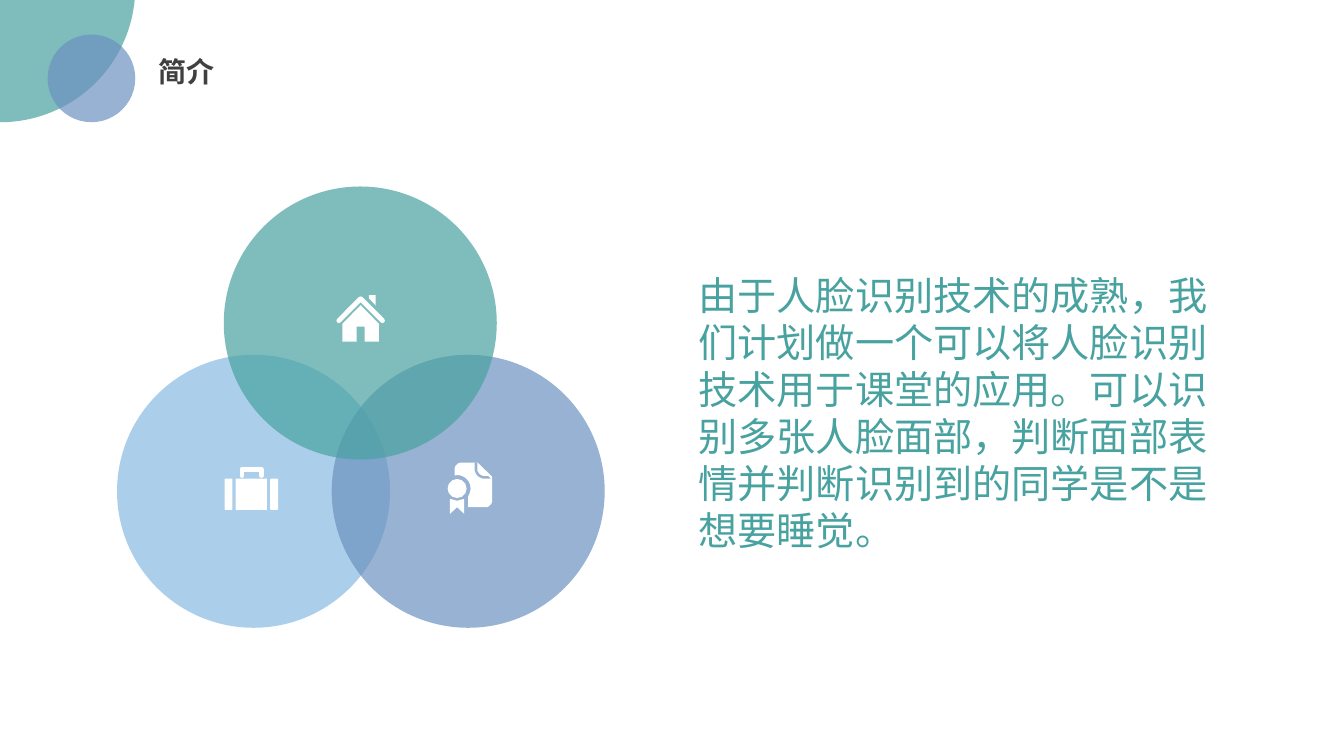
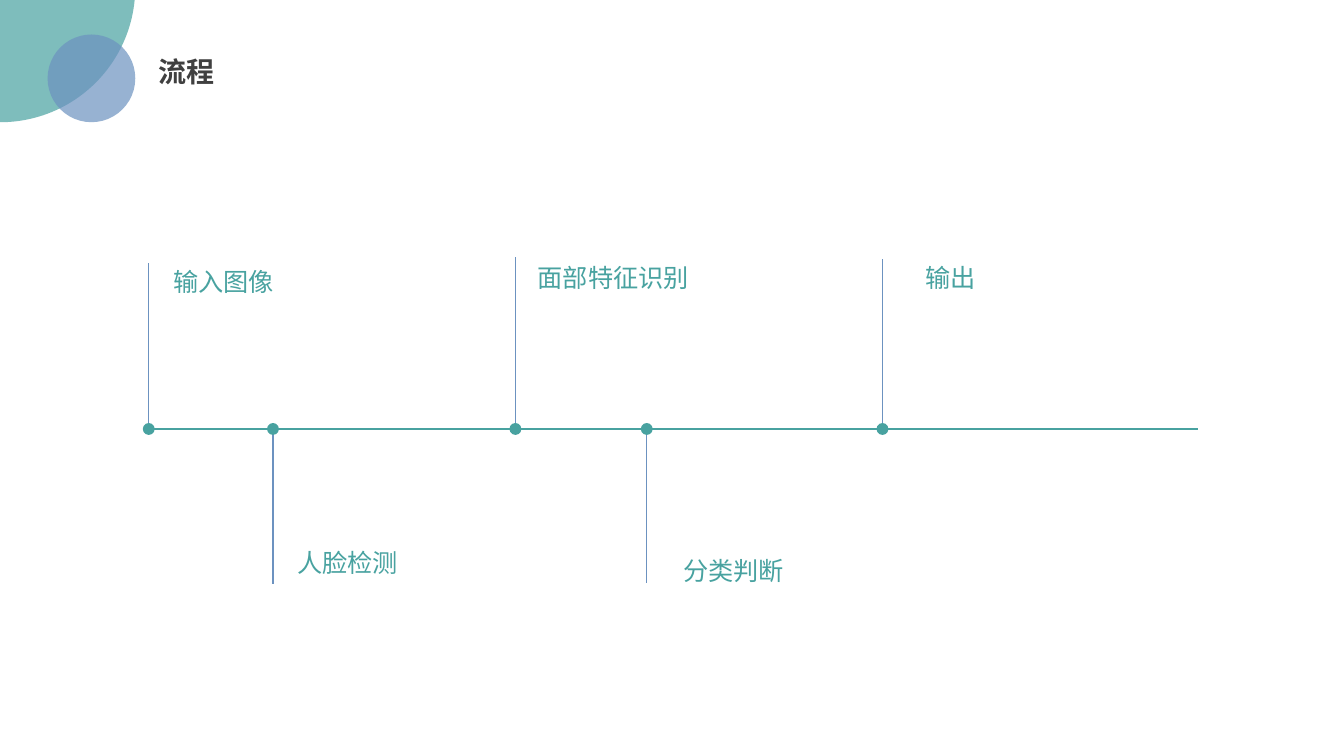
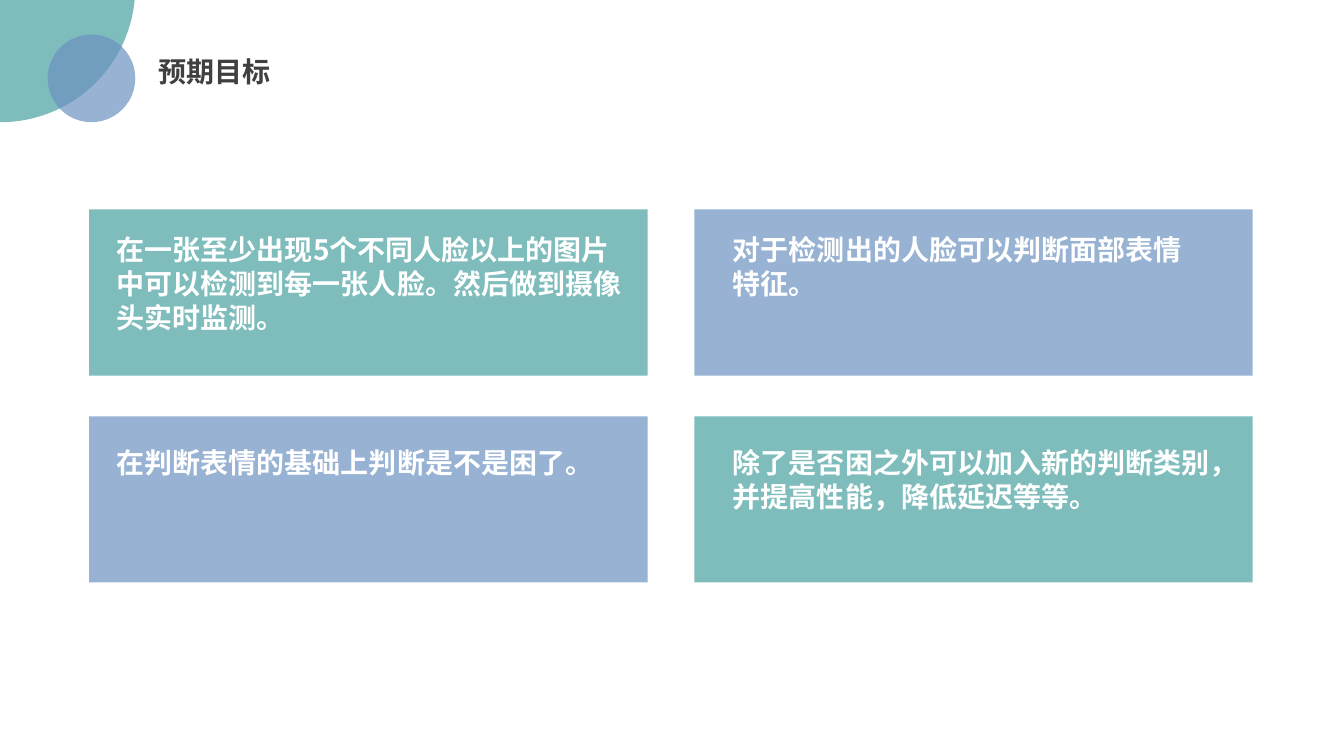
from math import cos, radians, sin

from lxml.etree import SubElement
from pptx import Presentation
from pptx.dml.color import RGBColor
from pptx.enum.shapes import MSO_CONNECTOR as Connector, MSO_SHAPE as Preset
from pptx.enum.text import MSO_ANCHOR as Anchor, MSO_AUTO_SIZE as AutoSize, PP_ALIGN as Align
from pptx.oxml.ns import qn
from pptx.util import Cm, Pt

FONT = "Noto Sans CJK SC"
TEAL, BLUE, AZURE = "48A2A0", "6C92C0", "0070C0"
INK, WHITE = "404040", "FFFFFF"
rgb = RGBColor.from_string


def paint(shape, color, opacity=100):
    shape.shadow.inherit = False
    shape.line.fill.background()
    shape.fill.solid()
    shape.fill.fore_color.rgb = rgb(color)
    if opacity < 100:
        tint = shape.fill._xPr.find(qn("a:solidFill"))[0]
        SubElement(tint, qn("a:alpha"), val=str(opacity * 1000))


def write(shape, text, size, color, bold=False):
    frame = shape.text_frame
    frame.text = text
    frame.word_wrap = True
    frame.auto_size = AutoSize.NONE
    frame.vertical_anchor = Anchor.TOP
    paragraph = frame.paragraphs[0]
    paragraph.alignment = Align.LEFT
    paragraph.space_before = Pt(0)
    font = paragraph.font
    font.name, font.size, font.bold = FONT, Pt(size), bold
    font.color.rgb = rgb(color)
    properties = paragraph._p.get_or_add_pPr()
    SubElement(properties.find(qn("a:defRPr")), qn("a:ea"), typeface=FONT)
    return properties


deck = Presentation()
deck.slide_width, deck.slide_height = Cm(33.87), Cm(19.05)

slides = []
for heading, layout in [("简介", 1), ("流程", 5), ("预期目标", 5)]:
    slide = deck.slides.add_slide(deck.slide_layouts[layout])
    for left, top, size, color in [(-3.4, -3.73, 6.81, TEAL), (1.2, 0.87, 2.21, BLUE)]:
        corner = slide.shapes.add_shape(Preset.OVAL, Cm(left), Cm(top), Cm(size), Cm(size))
        paint(corner, color, 70)
    title = slide.shapes.title
    title.left, title.top, title.width, title.height = Cm(3.73), Cm(1.24), Cm(15), Cm(1.12)
    write(title, heading, 20, INK, bold=True)
    slides.append(slide)
intro, process, goals = slides

for left, top, color, opacity in [
    (2.95, 8.94, AZURE, 33),
    (8.36, 8.94, BLUE, 70),
    (5.64, 4.7, TEAL, 70),
]:
    circle = intro.shapes.add_shape(Preset.OVAL, Cm(left), Cm(top), Cm(6.88), Cm(6.88))
    paint(circle, color, opacity)

summary = intro.placeholders[1]
summary.left, summary.top, summary.width, summary.height = Cm(17.35), Cm(6.71), Cm(14.22), Cm(7.44)
summary_format = write(
    summary,
    "由于人脸识别技术的成熟，我们计划做一个可以将人脸识别技术用于课堂的应用。"
    "可以识别多张人脸面部，判断面部表情并判断识别到的同学是不是想要睡觉。",
    28,
    TEAL,
)
summary_format.set("marL", "0")
summary_format.set("indent", "0")
summary_format.find(qn("a:defRPr")).addprevious(SubElement(summary_format, qn("a:buNone")))

ICON_UNIT = Cm(0.01)
house_x, case_x, seal_x, seal_y = 909, 634, 1152, 1231

house_wall = [(0, 769), (46, 816), (46, 861), (10, 861), (10, 823)]
house_roof = [(0, 753), (55, 808)]
case_handle = [(0, 1183), (25, 1183), (25, 1199)]
seal_ribbon = [(0, 1262), (18, 1257), (18, 1295), (0, 1278)]
for center, right_half, stroke in [
    (house_x, house_wall, 0),
    (house_x, house_roof, 3.5),
    (case_x, case_handle, 3),
    (seal_x, seal_ribbon, 0),
]:
    left_half = [(-x, y) for x, y in reversed(right_half)]
    points = [(center + x, y) for x, y in left_half + right_half[1:]]
    outline = intro.shapes.build_freeform(*points[0], scale=ICON_UNIT)
    outline.add_line_segments(points[1:], close=not stroke)
    part = outline.convert_to_shape()
    paint(part, WHITE)
    if stroke:
        part.fill.background()
        part.line.color.rgb = rgb(WHITE)
        part.line.width = Pt(stroke)
        part.line._get_or_add_ln().set("cap", "rnd")

panel_top, panel_height, panel_gap = 12.06, 0.79, 0.08
panel_left = 5.66
for panel, panel_width in [
    (Preset.ROUNDED_RECTANGLE, 0.2),
    (Preset.RECTANGLE, 0.79),
    (Preset.ROUNDED_RECTANGLE, 0.2),
]:
    case_panel = intro.shapes.add_shape(
        panel, Cm(panel_left), Cm(panel_top), Cm(panel_width), Cm(panel_height)
    )
    paint(case_panel, WHITE)
    panel_left += panel_width + panel_gap

seal_radius, arc_steps = 24, 8
seal = intro.shapes.add_shape(
    Preset.OVAL,
    (seal_x - seal_radius) * ICON_UNIT,
    (seal_y - seal_radius) * ICON_UNIT,
    2 * seal_radius * ICON_UNIT,
    2 * seal_radius * ICON_UNIT,
)
paint(seal, WHITE)

top_corner, bottom_corner, seal_cutout, fold_outer, fold_inner = [
    [
        (
            x + radius * cos(radians(start + sweep * step / arc_steps)),
            y + radius * sin(radians(start + sweep * step / arc_steps)),
        )
        for step in range(arc_steps + 1)
    ]
    for x, y, radius, start, sweep in [
        (1162, 1182, 16, 180, 90),
        (1224, 1262, 16, 0, 90),
        (seal_x, seal_y, 34, 35, -135),
        (1221, 1181, 25, 180, -90),
        (1221, 1181, 18, 90, 90),
    ]
]
paper = top_corner + [(1204, 1166), (1240, 1201)] + bottom_corner + [(1180, 1278)] + seal_cutout
paper_fold = [(1196, 1166)] + fold_outer + [(1237, 1206), (1230, 1199)] + fold_inner + [(1203, 1166)]
chimney = [(930, 744), (947, 744), (947, 770), (930, 752)]
for contours in [[paper, paper_fold], [chimney]]:
    outline = intro.shapes.build_freeform(*contours[0][0], scale=ICON_UNIT)
    for contour in contours:
        outline.move_to(*contour[0])
        outline.add_line_segments(contour[1:], close=True)
    paint(outline.convert_to_shape(), WHITE)

axis_y, dot_size = 10.81, 0.3
steps = [
    ("输入图像", 3.75, 6.63, 4.12, 6.58),
    ("人脸检测", 6.88, 14.71, 7.24, 13.66),
    ("面部特征识别", 12.99, 6.48, 13.3, 6.48),
    ("分类判断", 16.3, 14.68, 16.97, 13.87),
    ("输出", 22.24, 6.53, 23.07, 6.48),
]
rules = [(3.73, axis_y, 30.2, axis_y, TEAL)]
rules += [(x, axis_y, x, stem_end, BLUE) for _, x, stem_end, _, _ in steps]
for x1, y1, x2, y2, color in rules:
    rule = process.shapes.add_connector(Connector.STRAIGHT, Cm(x1), Cm(y1), Cm(x2), Cm(y2))
    rule.line.color.rgb = rgb(color)
    rule.line.width = Pt(1)
    SubElement(rule._element.spPr, qn("a:effectLst"))

for step, x, _, left, top in steps:
    dot = process.shapes.add_shape(
        Preset.OVAL, Cm(x - dot_size / 2), Cm(axis_y - dot_size / 2), Cm(dot_size), Cm(dot_size)
    )
    paint(dot, TEAL)
    label = process.shapes.add_textbox(Cm(left), Cm(top), Cm(6.1), Cm(1.02))
    write(label, step, 18, TEAL)

card_left, card_top, card_width, card_height = 2.25, 5.28, 14.07, 4.19
column_gap, row_gap = 1.18, 1.02
column_margins, row_margins = (0.69, 0.97), (0.59, 0.74)
targets = [
    ("在一张至少出现5个不同人脸以上的图片中可以检测到每一张人脸。然后做到摄像头实时监测。", 0.53),
    ("对于检测出的人脸可以判断面部表情特征。", 1.24),
    ("在判断表情的基础上判断是不是困了。", 0.53),
    ("除了是否困之外可以加入新的判断类别，并提高性能，降低延迟等等。", 0.94),
]
for index, (target, right_margin) in enumerate(targets):
    row, column = divmod(index, 2)
    card = goals.shapes.add_shape(
        Preset.RECTANGLE,
        Cm(card_left + column * (card_width + column_gap)),
        Cm(card_top + row * (card_height + row_gap)),
        Cm(card_width),
        Cm(card_height),
    )
    paint(card, TEAL if row == column else BLUE, 70)
    write(card, target, 20, WHITE, bold=True)
    card.text_frame.margin_left = Cm(column_margins[column])
    card.text_frame.margin_top = Cm(row_margins[row])
    card.text_frame.margin_right = Cm(right_margin)

deck.save("out.pptx")
